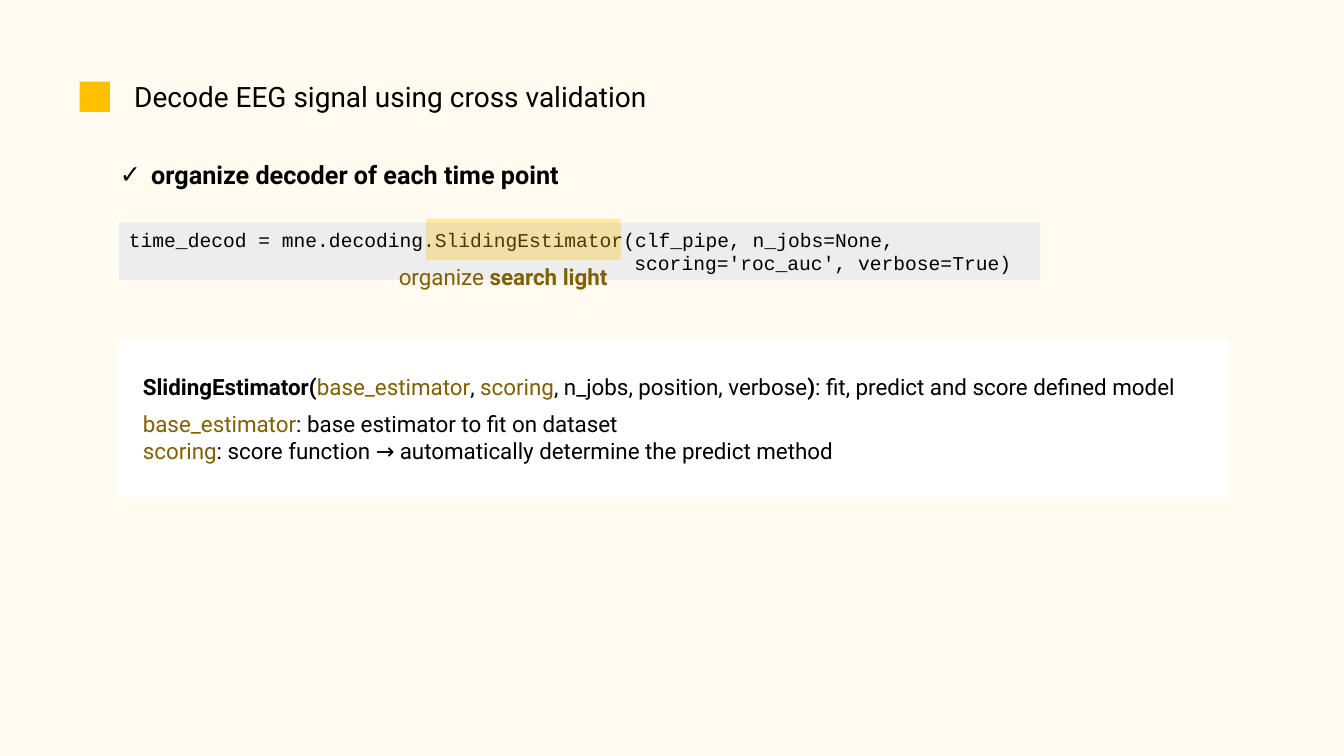
from lxml.etree import SubElement
from pptx import Presentation
from pptx.dml.color import RGBColor
from pptx.enum.shapes import MSO_SHAPE as Preset
from pptx.enum.text import MSO_ANCHOR as Anchor, MSO_AUTO_SIZE as AutoSize, PP_ALIGN as Align
from pptx.oxml.ns import qn
from pptx.util import Cm, Pt

CREAM = RGBColor(0xFF, 0xFB, 0xF0)
WHITE = RGBColor(0xFF, 0xFF, 0xFF)
GREY = RGBColor(0xED, 0xED, 0xED)
AMBER = RGBColor(0xFF, 0xC0, 0x00)
BROWN = RGBColor(0x80, 0x60, 0x00)
BLACK = RGBColor(0x00, 0x00, 0x00)


def add_run(paragraph, text, *, size=16, font="Roboto", color=BLACK, bold=False):
    run = paragraph.add_run()
    run.text = text
    run.font.size, run.font.name, run.font.bold = Pt(size), font, bold
    run.font.color.rgb = color


class SlideBuilder:
    """Holds the current slide and its text style."""

    def __init__(self, slide, inset=0.25):
        self.slide = slide
        self.inset = inset
        background = slide.background.fill
        background.solid()
        background.fore_color.rgb = CREAM

    def panel(self, left, top, width, height, color, opacity=100):
        panel = self.slide.shapes.add_shape(
            Preset.RECTANGLE, Cm(left), Cm(top), Cm(width), Cm(height))
        panel.shadow.inherit = False
        panel.line.fill.background()
        panel.fill.solid()
        panel.fill.fore_color.rgb = color
        if opacity < 100:
            rgb = panel._element.spPr.find(qn("a:solidFill"))[0]
            SubElement(rgb, qn("a:alpha"), val=str(opacity * 1000))
        return panel

    def set_lines(self, shape, *lines, inset=None, wrap=False, **style):
        """Each line is a list of (text, format) pairs."""
        frame = shape.text_frame
        frame.word_wrap = wrap
        frame.auto_size = AutoSize.NONE
        frame.vertical_anchor = Anchor.TOP
        frame.margin_left = Cm(self.inset if inset is None else inset)
        frame.margin_right = Cm(self.inset)
        frame.margin_top = frame.margin_bottom = Cm(0.13)
        for number, line in enumerate(lines):
            paragraph = frame.add_paragraph() if number else frame.paragraphs[0]
            paragraph.alignment = Align.LEFT
            paragraph.space_before = Pt(0)
            for text, extra in line:
                add_run(paragraph, text, **{**style, **extra})
        return frame.paragraphs

    def placeholder(self, index, left, top, width, height, *lines, **style):
        holder = self.slide.placeholders[index]
        holder.left, holder.top = Cm(left), Cm(top)
        holder.width, holder.height = Cm(width), Cm(height)
        return self.set_lines(holder, *lines, **style)

    def text(self, left, top, width, height, *lines, **style):
        box = self.slide.shapes.add_textbox(Cm(left), Cm(top), Cm(width), Cm(height))
        return self.set_lines(box, *lines, **style)

    def indent(self, paragraph, left, first=0, bullet=None):
        props = paragraph._p.get_or_add_pPr()
        props.set("marL", str(Cm(left)))
        props.set("indent", str(Cm(first)))
        if bullet:
            SubElement(props, qn("a:buChar"), char=bullet)


def main():
    deck = Presentation()
    deck.slide_width, deck.slide_height = Cm(33.87), Cm(19.05)
    page = SlideBuilder(deck.slides.add_slide(deck.slide_layouts[1]))
    accent, plain, strong = {"color": BROWN}, {}, {"bold": True}

    # Heading with its marker
    page.panel(2.01, 2.06, 0.76, 0.76, AMBER)
    page.placeholder(0, 2.77, 1.88, 14.17, 1.12,
                     [("Decode EEG signal using cross validation", plain)],
                     size=20, inset=0.61)

    # Checked step
    step = page.placeholder(1, 2.77, 3.89, 11.71, 1.02,
                            [("organize decoder of each time point", strong)], size=18)
    page.indent(step[0], 0.79, -0.79, "✓")

    # Code, with the second line indented to the opening bracket
    code_panel = page.panel(3, 5.61, 23.22, 1.45, GREY)
    code = page.set_lines(
        code_panel,
        [("time_decod = mne.decoding.SlidingEstimator(clf_pipe, n_jobs=None,", plain)],
        [("scoring='roc_auc', verbose=True)", plain)],
        size=14, font="Courier New", wrap=True)
    page.indent(code[1], 12.74)

    # Highlighted class and its remark
    page.panel(10.74, 5.51, 4.9, 1.04, AMBER, opacity=30)
    page.text(9.8, 6.5, 5.87, 0.94,
              [("organize ", plain), ("search light", strong)], **accent)

    # Signature and parameters
    page.panel(2.97, 8.56, 27.99, 3.96, WHITE)
    page.text(3.35, 9.27, 27.18, 0.94, [
        ("SlidingEstimator(", strong), ("base_estimator", accent), (", ", plain),
        ("scoring", accent), (", n_jobs, position, verbose", plain), (")", strong),
        (": fit, predict and score defined model", plain)])
    page.text(3.35, 10.21, 18.47, 1.63,
              [("base_estimator", accent), (": base estimator to fit on dataset", plain)],
              [("scoring", accent),
               (": score function → automatically determine the predict method", plain)])

    deck.save("out.pptx")


if __name__ == "__main__":
    main()
